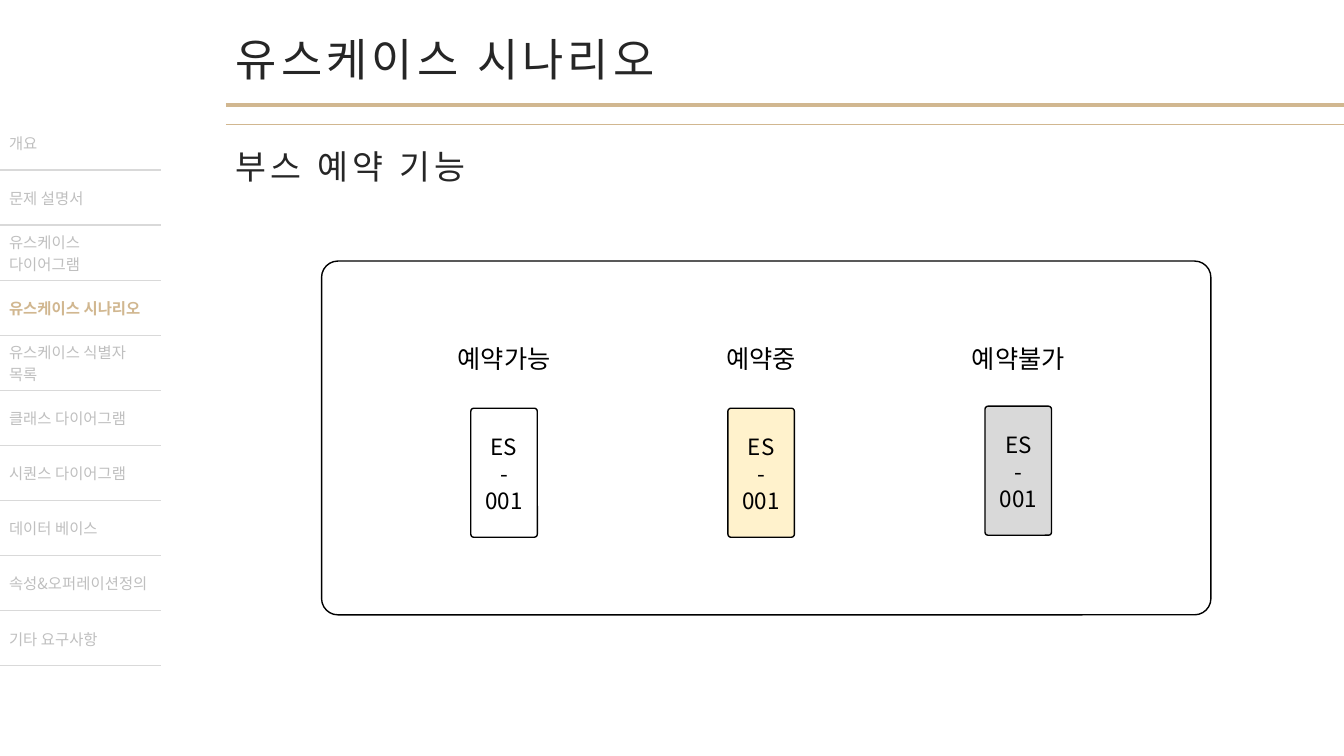
from lxml import etree
from pptx import Presentation
from pptx import util as u
from pptx.dml.color import RGBColor
from pptx.enum import shapes, text
from pptx.oxml import ns

GOLD = RGBColor(0xD1, 0xB7, 0x90)
INK = RGBColor(0x26, 0x26, 0x26)
BLACK = RGBColor(0, 0, 0)
WHITE = RGBColor(0xFF, 0xFF, 0xFF)
CREAM = RGBColor(0xFF, 0xF2, 0xCC)
GRAY = RGBColor(0xD9, 0xD9, 0xD9)
MUTED = RGBColor(0xBF, 0xBF, 0xBF)
FONT = "Noto Sans CJK KR"

presentation = Presentation()
presentation.slide_width = u.Inches(13.33)
presentation.slide_height = u.Inches(7.5)
slide = presentation.slides.add_slide(presentation.slide_layouts[6])
COLUMN = presentation.slide_width / 100
ROW = presentation.slide_height / 100


def grid(left, top, width, height):
    return int(left * COLUMN), int(top * ROW), int(width * COLUMN), int(height * ROW)


def write(frame, lines, size, color, align=None, bold=False, spacing=0):
    frame.word_wrap = True
    for index, line in enumerate(lines):
        paragraph = frame.add_paragraph() if index else frame.paragraphs[0]
        paragraph.alignment = align
        run = paragraph.add_run()
        run.text = line
        for name, value in {"name": FONT, "size": u.Pt(size), "bold": bold}.items():
            setattr(run.font, name, value)
        run.font.color.rgb = color
        properties = run.font._element
        etree.SubElement(properties, ns.qn("a:ea"), typeface=FONT)
        if spacing:
            properties.set("spc", str(spacing * 100))


for height, weight in ((13.87, 3), (16.4, 0.25)):
    left, top, width, _ = grid(16.8, height, 83.2, 0)
    rule = slide.shapes.add_connector(
        shapes.MSO_CONNECTOR.STRAIGHT, left, top, left + width, top)
    rule.line.color.rgb = GOLD
    rule.line.width = u.Pt(weight)
    etree.SubElement(rule._element.spPr, ns.qn("a:effectLst"))

headings = [("유스케이스 시나리오", 3.6, 8.53, 32), ("부스 예약 기능", 18.67, 6.67, 24)]
for heading, top, height, size in headings:
    box = slide.shapes.add_textbox(*grid(16.8, top, 36.08, height))
    write(box.text_frame, [heading], size, INK, spacing=3)
    box.text_frame.auto_size = text.MSO_AUTO_SIZE.SHAPE_TO_FIT_TEXT

panel = slide.shapes.add_shape(
    shapes.MSO_SHAPE.ROUNDED_RECTANGLE, *grid(23.93, 34.53, 66.17, 46.8))
panel.fill.background()
outlined = [panel]

states = [("예약가능", WHITE, 54), ("예약중", CREAM, 54), ("예약불가", GRAY, 53.73)]
for index, (state, color, top) in enumerate(states):
    offset = index * 19.13
    group = slide.shapes.add_group_shape()
    card = group.shapes.add_shape(
        shapes.MSO_SHAPE.ROUNDED_RECTANGLE, *grid(35.03 + offset, top, 4.95, 17.07))
    card.fill.solid()
    card.fill.fore_color.rgb = color
    outlined.append(card)
    booth = group.shapes.add_textbox(*grid(35.03 + offset, top + 2.35, 4.95, 12.53))
    label = slide.shapes.add_textbox(*grid(32.63 + offset, 44.8, 9.75, 5.33))
    for box, lines, size in ((booth, ["ES", "-", "001"], 16), (label, [state], 18)):
        write(box.text_frame, lines, size, BLACK, text.PP_ALIGN.CENTER)
        box.text_frame.auto_size = text.MSO_AUTO_SIZE.SHAPE_TO_FIT_TEXT
    booth.text_frame.vertical_anchor = text.MSO_ANCHOR.MIDDLE

for shape in outlined:
    shape.adjustments[0] = 0.046
    shape.shadow.inherit = False
    shape.line.color.rgb = BLACK
    shape.line.width = u.Pt(1)

menu = ["개요", "문제 설명서", "유스케이스 다이어그램", "유스케이스 시나리오",
        "유스케이스 식별자 목록", "클래스 다이어그램", "시퀀스 다이어그램",
        "데이터 베이스", "속성&오퍼레이션정의", "기타 요구사항"]
current = "유스케이스 시나리오"
table = slide.shapes.add_table(len(menu), 1, *grid(-0.08, 15.2, 12.08, 72.9)).table
for name in ("first_row", "horz_banding"):
    setattr(table, name, False)
for index, item in enumerate(menu):
    cell = table.cell(index, 0)
    active = item == current
    write(cell.text_frame, [item], 11, GOLD if active else MUTED, bold=active)
    cell.vertical_anchor = text.MSO_ANCHOR.MIDDLE
    properties = cell._tc.get_or_add_tcPr()
    for side in ("L", "R", "T", "B"):
        border = etree.SubElement(properties, ns.qn("a:ln" + side), w=str(u.Pt(1)))
        if side == "B" or (side == "T" and index):
            fill = etree.SubElement(border, ns.qn("a:solidFill"))
            etree.SubElement(fill, ns.qn("a:srgbClr"), val=str(GRAY))
        else:
            etree.SubElement(border, ns.qn("a:noFill"))
    cell.fill.background()

presentation.save("out.pptx")
